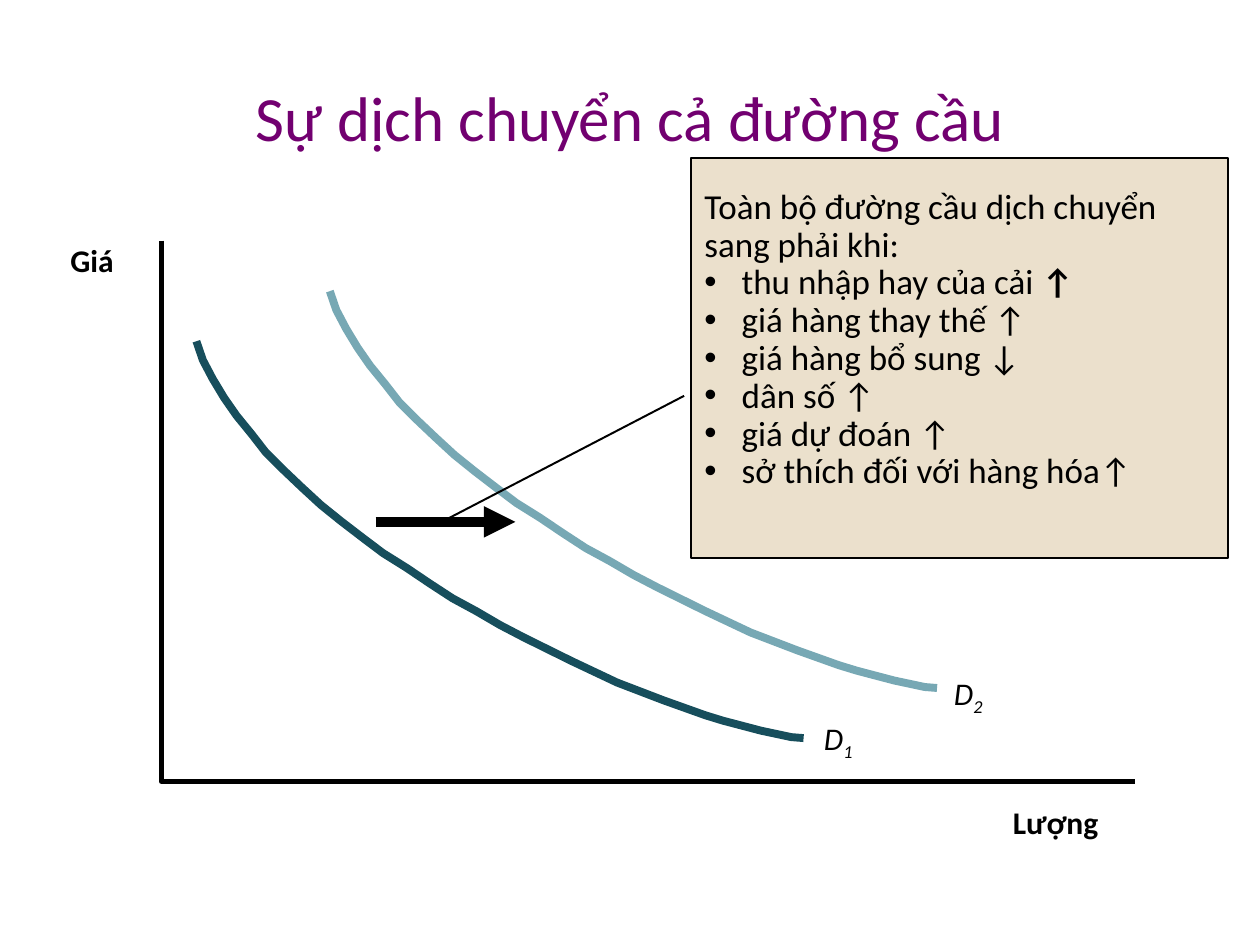
from lxml.etree import SubElement
from pptx import Presentation
from pptx.dml.color import RGBColor
from pptx.enum.shapes import MSO_CONNECTOR as Connector, MSO_SHAPE as Shape
from pptx.enum.text import MSO_ANCHOR as Anchor, MSO_AUTO_SIZE as AutoSize, PP_ALIGN as Align
from pptx.oxml.ns import qn
from pptx.util import Cm, Pt

BLACK = RGBColor(0, 0, 0)
PURPLE = RGBColor(0x72, 0x00, 0x70)
TEAL = RGBColor(0x17, 0x4E, 0x5C)
LIGHT_TEAL = RGBColor(0x77, 0xA8, 0xB4)
SAND = RGBColor(0xEB, 0xE0, 0xCC)

AXES = [(3.25, 4.85), (3.25, 15.75), (22.89, 15.75)]
# Demand curve, in cm from its upper left end
DEMAND = [
    (0, 0), (0.13, 0.38), (0.33, 0.76), (0.56, 1.14), (0.81, 1.5), (1.12, 1.88),
    (1.4, 2.24), (1.75, 2.59), (2.13, 2.95), (2.51, 3.3), (2.92, 3.63),
    (3.35, 3.96), (3.76, 4.27), (4.24, 4.57), (4.7, 4.88), (5.16, 5.18),
    (5.64, 5.44), (6.12, 5.72), (6.6, 5.97), (7.57, 6.45), (8.48, 6.88),
    (9.42, 7.24), (10.26, 7.54), (10.62, 7.65), (11, 7.75), (11.38, 7.85),
    (11.71, 7.92), (11.99, 7.98), (12.24, 8),
]
CURVES = [
    # number, start of curve, colour, place of label
    ("2", (6.65, 5.87), LIGHT_TEAL, (19.23, 13.59)),
    ("1", (3.96, 6.88), TEAL, (16.61, 14.5)),
]
INTRO = "Toàn bộ đường cầu dịch chuyển sang phải khi:"
CAUSES = [
    ("thu nhập hay của cải ", "↑"),
    ("giá hàng thay thế ↑",),
    ("giá hàng bổ sung ↓",),
    ("dân số ↑",),
    ("giá dự đoán ↑",),
    ("sở thích đối với hàng hóa↑",),
]


class SlideBuilder:
    def __init__(self, slide, font="Calibri"):
        self.slide = slide
        self.font = font

    def style(self, font, size, color=BLACK, bold=False, italic=False):
        font.name, font.size = self.font, Pt(size)
        font.bold, font.italic = bold, italic
        font.color.rgb = color

    def place(self, shape, left, top, width, height):
        shape.left, shape.top = Cm(left), Cm(top)
        shape.width, shape.height = Cm(width), Cm(height)

    def clear_margins(self, frame):
        frame.margin_left = frame.margin_right = 0
        frame.margin_top = frame.margin_bottom = 0

    def title(self, text, box):
        title = self.slide.shapes.title
        self.place(title, *box)
        frame = title.text_frame
        frame.text = text
        frame.vertical_anchor = Anchor.MIDDLE
        frame.paragraphs[0].alignment = Align.CENTER
        self.style(frame.paragraphs[0].runs[0].font, 36, PURPLE)

    def polyline(self, points, color, width, shapes=None):
        start, *rest = [(Cm(x), Cm(y)) for x, y in points]
        builder = (shapes or self.slide.shapes).build_freeform(*start)
        builder.add_line_segments(rest, close=False)
        outline = builder.convert_to_shape()
        outline.shadow.inherit = False
        outline.fill.background()
        outline.line.color.rgb = color
        outline.line.width = Pt(width)

    def label(self, text, box, subscript="", shapes=None, **look):
        label = (shapes or self.slide.shapes).add_textbox(*map(Cm, box))
        frame = label.text_frame
        self.clear_margins(frame)
        frame.word_wrap = False
        frame.text = text
        paragraph = frame.paragraphs[0]
        if subscript:
            index = paragraph.add_run()
            index.text = subscript
            index.font._element.set("baseline", "-25000")
        for run in paragraph.runs:
            self.style(run.font, 18, **look)

    def line(self, start, end, width, arrow=False):
        line = self.slide.shapes.add_connector(
            Connector.STRAIGHT, *map(Cm, start + end))
        line.line.color.rgb = BLACK
        line.line.width = Pt(width)
        if arrow:
            SubElement(line.line._get_or_add_ln(), qn("a:tailEnd"), type="triangle")
        SubElement(line.element.spPr, qn("a:effectLst"))

    def panel(self, box):
        panel = self.slide.shapes.add_shape(Shape.RECTANGLE, *map(Cm, box))
        panel.shadow.inherit = False
        panel.fill.solid()
        panel.fill.fore_color.rgb = SAND
        panel.line.color.rgb = BLACK
        panel.line.width = Pt(1.13)

    def bullet_list(self, intro, items, box, indent=Cm(0.75)):
        """Fill the body placeholder and bring it in front of the panel."""
        body = self.slide.placeholders[1]
        self.place(body, *box)
        body.element.getparent().append(body.element)
        frame = body.text_frame
        self.clear_margins(frame)
        frame.word_wrap = True
        frame.auto_size = AutoSize.NONE
        frame.vertical_anchor = Anchor.TOP
        for number, parts in enumerate([(intro,), *items]):
            paragraph = frame.add_paragraph() if number else frame.paragraphs[0]
            paragraph.line_spacing = 0.9
            paragraph.space_before = Pt(0)
            properties = paragraph._p.get_or_add_pPr()
            margin = indent if number else 0
            properties.set("marL", str(margin))
            properties.set("indent", str(-margin))
            if number:
                SubElement(properties, qn("a:buFont"), typeface="Arial")
                SubElement(properties, qn("a:buChar"), char="•")
            else:
                SubElement(properties, qn("a:buNone"))
            for position, part in enumerate(parts):
                run = paragraph.add_run()
                run.text = part
                self.style(run.font, 20, bold=position > 0)


def main():
    deck = Presentation()
    deck.slide_width, deck.slide_height = Cm(25.4), Cm(19.05)
    slide = deck.slides.add_slide(deck.slide_layouts[1])
    page = SlideBuilder(slide)

    page.title("Sự dịch chuyển cả đường cầu", (1.27, 0.76, 22.86, 3.18))

    axes = slide.shapes.add_group_shape().shapes
    page.polyline(AXES, BLACK, 3, axes)
    page.label("Lượng", (20.42, 16.18, 1.9, 0.76), shapes=axes, bold=True)
    page.label("Giá", (1.42, 4.85, 1.1, 0.76), shapes=axes, bold=True)

    for number, (left, top), color, label_place in CURVES:
        page.polyline([(left + x, top + y) for x, y in DEMAND], color, 4.5)
        page.label("D", (*label_place, 0.58, 0.86), subscript=number, italic=True)

    page.line((7.57, 10.52), (10.39, 10.52), 6, arrow=True)
    page.line((9.02, 10.46), (13.79, 7.98), 1.13)

    page.panel((13.94, 3.18, 10.82, 8.08))
    page.bullet_list(INTRO, CAUSES, (14.2, 3.81, 10.34, 6.96))

    deck.save("out.pptx")


if __name__ == "__main__":
    main()
